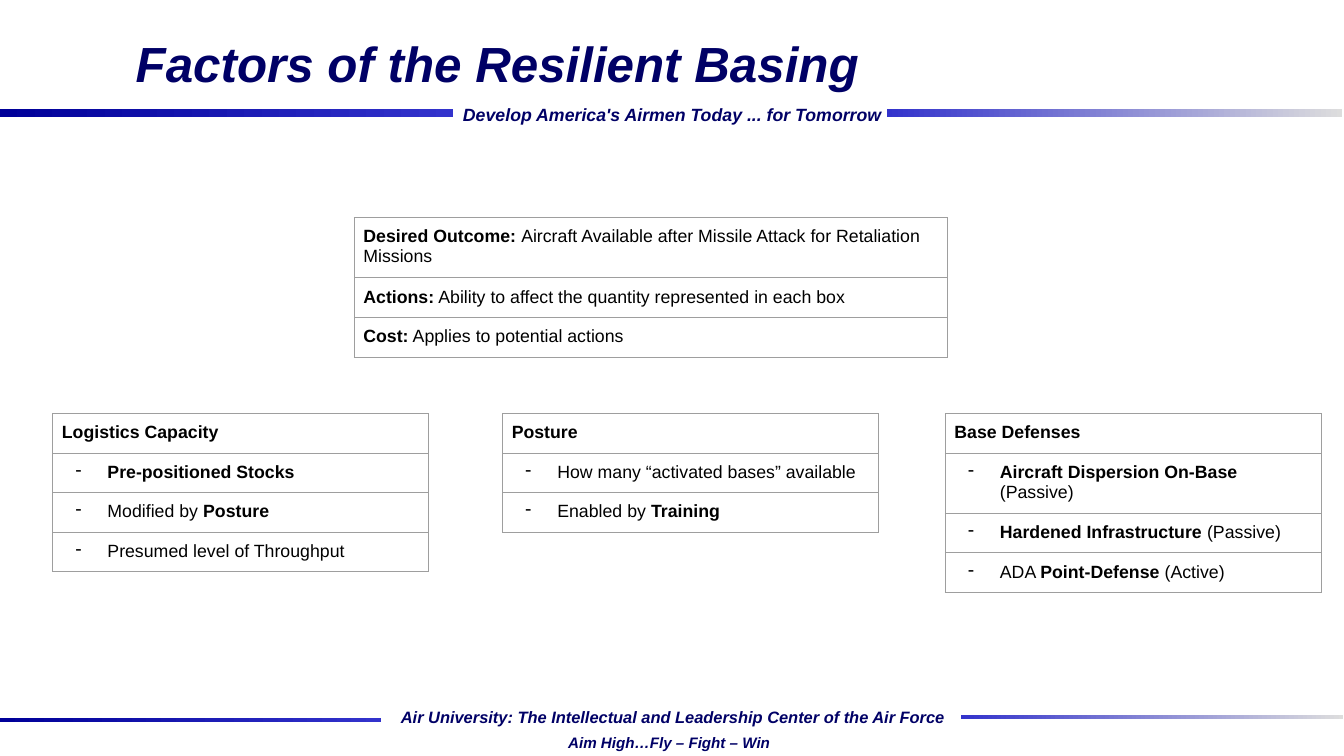
from lxml import etree
from pptx import Presentation
from pptx.dml.color import RGBColor
from pptx.enum.shapes import MSO_SHAPE
from pptx.enum.text import MSO_ANCHOR, MSO_AUTO_SIZE, PP_ALIGN
from pptx.oxml import parse_xml
from pptx.oxml.ns import qn
from pptx.util import Inches, Pt

RECT = MSO_SHAPE.RECTANGLE
MIDDLE = MSO_ANCHOR.MIDDLE
FIXED = MSO_AUTO_SIZE.NONE
LEFT, CENTER = PP_ALIGN.LEFT, PP_ALIGN.CENTER

NAVY = RGBColor(0x00, 0x00, 0x66)
DEEP = RGBColor(0x00, 0x00, 0x99)
BLUE = RGBColor(0x33, 0x33, 0xCC)
PALE = RGBColor(0xDD, 0xDD, 0xDD)
BLACK = RGBColor(0x00, 0x00, 0x00)
GREY = RGBColor(0x9E, 0x9E, 0x9E)

WIDTH, HEIGHT = Inches(14.76), Inches(8.3)
ROW, TALL = 5.24, 7.95  # one-line and two-line table rows
LINE = (
    '<a:{} xmlns:a="http://schemas.openxmlformats.org/drawingml/2006/main" w="9525">'
    '<a:solidFill><a:srgbClr val="{}"/></a:solidFill></a:{}>'
)


class Deck:
    """Draws on one slide; boxes are left, top, width, height in percent of it."""

    font = "Arial"

    def __init__(self):
        self.prs = Presentation()
        self.prs.slide_width, self.prs.slide_height = WIDTH, HEIGHT
        self.slide = self.prs.slides.add_slide(self.prs.slide_layouts[5])
        self.shapes = self.slide.shapes

    def place(self, x, y, w, h):
        """Turn percents into slide lengths."""
        return [int(share * size / 100) for share, size in
                zip((x, y, w, h), (WIDTH, HEIGHT, WIDTH, HEIGHT))]

    def style(self, para, size, color, bold=None, italic=None):
        font = para.font
        font.name, font.size, font.color.rgb = self.font, Pt(size), color
        font.bold, font.italic = bold, italic

    def label(self, shape, text, size, align, wrap):
        """Put one line of navy bold italic text into a shape."""
        frame = shape.text_frame
        frame.text = text
        frame.auto_size, frame.word_wrap = FIXED, wrap
        frame.vertical_anchor = MIDDLE
        para = frame.paragraphs[0]
        para.alignment = align
        self.style(para, size, NAVY, True, True)

    def title(self, text, box, size):
        shape = self.shapes.title
        shape.left, shape.top, shape.width, shape.height = self.place(*box)
        self.label(shape, text, size, LEFT, True)

    def motto(self, text, box, size):
        shape = self.shapes.add_textbox(*self.place(*box))
        self.label(shape, text, size, CENTER, False)

    def bar(self, box, start, end):
        shape = self.shapes.add_shape(RECT, *self.place(*box))
        shape.shadow.inherit = False
        shape.line.fill.background()
        shape.fill.gradient()
        shape.fill.gradient_angle = 0
        for stop, color in zip(shape.fill.gradient_stops, (start, end)):
            stop.color.rgb = color

    def table(self, x, y, w, rows):
        """Stack (height, text) rows; *stars* mark bold, a leading "- " a bullet."""
        total = sum(height for height, _ in rows)
        grid = self.shapes.add_table(len(rows), 1, *self.place(x, y, w, total)).table
        grid.first_row = grid.horz_banding = False
        for index, (height, text) in enumerate(rows):
            grid.rows[index].height = int(height * HEIGHT / 100)
            self.cell(grid.cell(index, 0), text)

    def cell(self, cell, text):
        cell.margin_left = cell.margin_right = Inches(0.1)
        cell.margin_top = cell.margin_bottom = Inches(0.1)
        cell.fill.background()
        props = cell._tc.get_or_add_tcPr()
        for index, side in enumerate(("lnL", "lnR", "lnT", "lnB")):
            props.insert(index, parse_xml(LINE.format(side, GREY, side)))
        para = cell.text_frame.paragraphs[0]
        self.style(para, 14, BLACK)
        if text.startswith("- "):
            text = text[2:]
            self.bullet(para)
        for index, part in enumerate(text.split("*")):
            if part:
                run = para.add_run()
                run.text, run.font.bold = part, index % 2 == 1

    def bullet(self, para):
        props = para._p.get_or_add_pPr()
        props.set("marL", str(Inches(0.5)))
        props.set("indent", str(Inches(-0.35)))
        mark = etree.Element(qn("a:buChar"), char="-")
        props.insert(0, mark)


def main():
    deck = Deck()
    deck.bar((65.99, 14.46, 33.88, 1.08), BLUE, PALE)
    deck.bar((0, 14.46, 33.74, 1.08), DEEP, BLUE)
    deck.bar((0, 94.94, 28.32, 0.6), DEEP, BLUE)
    deck.bar((71.48, 94.58, 28.46, 0.6), BLUE, PALE)
    deck.motto("Develop America's Airmen Today ... for Tomorrow",
               (33.67, 13.13, 32.72, 4.1), 14)
    deck.motto("Air University: The Intellectual and Leadership Center of the Air Force",
               (28.86, 93.01, 42.34, 3.73), 13)
    deck.motto("Aim High…Fly – Fight – Win", (41.4, 96.51, 16.8, 3.49), 12)
    deck.title("Factors of the Resilient Basing", (9.42, 3.73, 72.56, 9.16), 39)

    deck.table(26.36, 28.8, 44.17, [
        (TALL, "*Desired Outcome: *Aircraft Available after Missile Attack "
               "for Retaliation Missions"),
        (ROW, "*Actions:* Ability to affect the quantity represented in each box"),
        (ROW, "*Cost:* Applies to potential actions"),
    ])
    factors = [
        (3.93, [(ROW, "*Logistics Capacity*"),
                (ROW, "- *Pre-positioned Stocks*"),
                (ROW, "- Modified by *Posture*"),
                (ROW, "- Presumed level of Throughput")]),
        (37.4, [(ROW, "*Posture*"),
                (ROW, "- How many “activated bases” available"),
                (ROW, "- Enabled by *Training*")]),
        (70.33, [(ROW, "*Base Defenses*"),
                 (TALL, "- *Aircraft Dispersion On-Base *(Passive)"),
                 (ROW, "- *Hardened Infrastructure* (Passive)"),
                 (ROW, "- ADA *Point-Defense* (Active)")]),
    ]
    for left, rows in factors:
        deck.table(left, 54.7, 27.98, rows)
    deck.prs.save("out.pptx")


if __name__ == "__main__":
    main()
